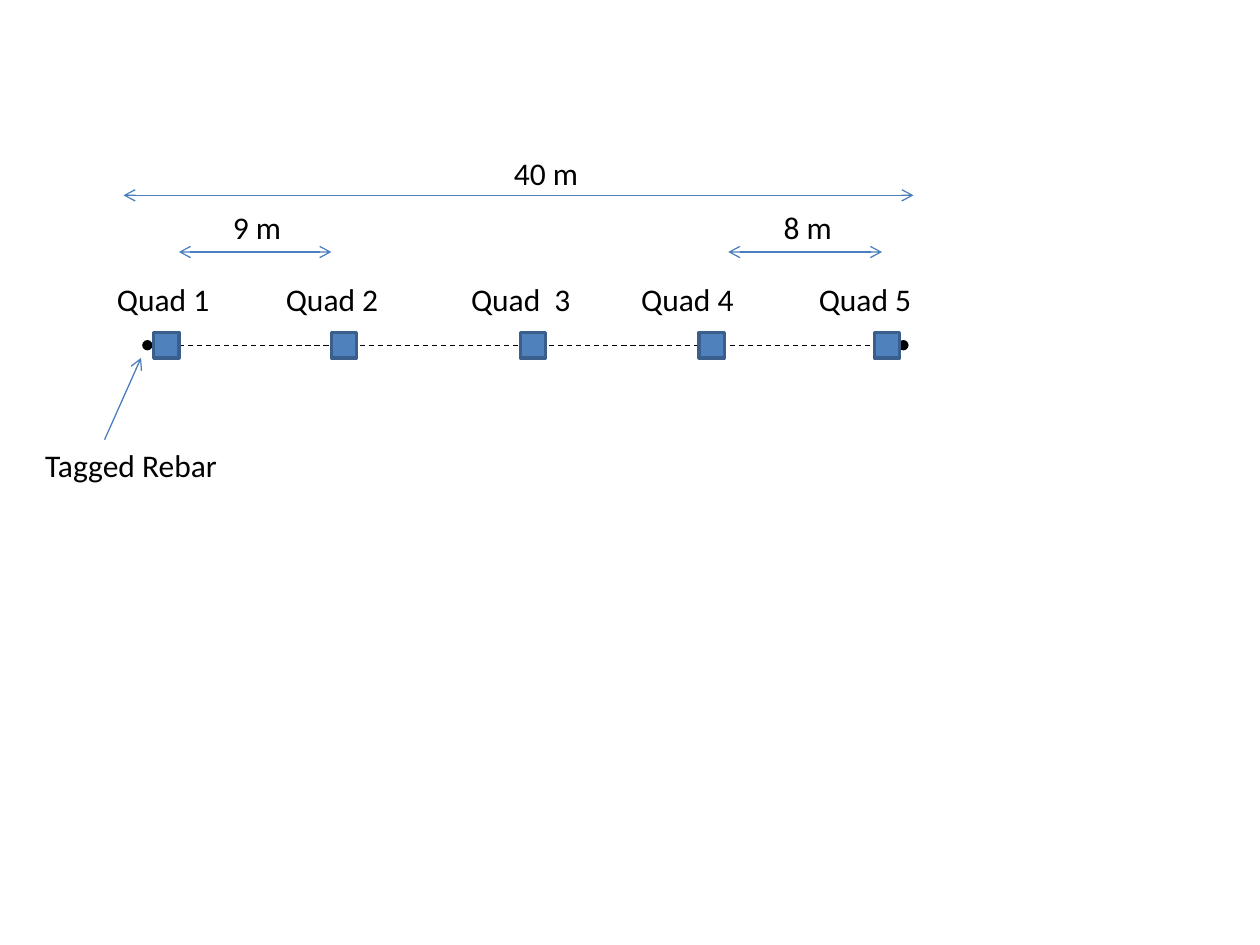
import pptx
import pptx.util
import pptx.dml.color
import pptx.enum.dml
import pptx.enum.shapes
import pptx.oxml.ns
import lxml.etree

Inches = pptx.util.Inches
Pt = pptx.util.Pt
RGBColor = pptx.dml.color.RGBColor
Shape = pptx.enum.shapes.MSO_SHAPE
Connector = pptx.enum.shapes.MSO_CONNECTOR
Dash = pptx.enum.dml.MSO_LINE

BLACK = RGBColor(0x00, 0x00, 0x00)
QUAD_FILL = RGBColor(0x4F, 0x81, 0xBD)
QUAD_EDGE = RGBColor(0x3A, 0x5F, 0x8C)
ARROW_BLUE = RGBColor(0x4B, 0x7E, 0xBC)


def add_element(parent, tag, **values):
    return lxml.etree.SubElement(parent, pptx.oxml.ns.qn(tag), values)


class Diagram:
    font = {"name": "Calibri", "size": Pt(18)}

    def __init__(self, page):
        self.page = page

    def label(self, text, left, top, width, tabs=()):
        box = self.page.shapes.add_textbox(
            Inches(left), Inches(top), Inches(width), Inches(0.4))
        box.text_frame.word_wrap = True
        para = box.text_frame.paragraphs[0]
        span = para.add_run()
        span.text = text
        for name, value in self.font.items():
            setattr(span.font, name, value)
        span.font.color.rgb = BLACK
        if tabs:
            tab_list = add_element(para._p.get_or_add_pPr(), "a:tabLst")
            for stop in tabs:
                add_element(tab_list, "a:tab", pos=str(Inches(stop)), algn="l")

    def line(self, start, end, color=ARROW_BLUE, head=None, tail="arrow", dash=None):
        line = self.page.shapes.add_connector(
            Connector.STRAIGHT, *(Inches(value) for value in start + end))
        line.line.color.rgb = color
        line.line.width = Pt(0.75)
        if dash:
            line.line.dash_style = dash
        outline = line.line._get_or_add_ln()
        for tag, kind in (("a:headEnd", head), ("a:tailEnd", tail)):
            if kind:
                add_element(outline, tag, type=kind)
        add_element(line._element.spPr, "a:effectLst")

    def square(self, left, top, size):
        square = self.page.shapes.add_shape(
            Shape.RECTANGLE, Inches(left), Inches(top), Inches(size), Inches(size))
        square.shadow.inherit = False
        square.fill.solid()
        square.fill.fore_color.rgb = QUAD_FILL
        square.line.color.rgb = QUAD_EDGE
        square.line.width = Pt(2)


deck = pptx.Presentation()
deck.slide_width = Inches(10)
deck.slide_height = Inches(7.5)
diagram = Diagram(deck.slides.add_slide(deck.slide_layouts[6]))

transect_y = 2.74
quad_size = 0.2
diagram.line((1.17, transect_y), (7.17, transect_y), BLACK, "oval", "oval", Dash.DASH)
for quad_left in (1.22, 2.63, 4.13, 5.55, 6.94):
    diagram.square(quad_left, transect_y - quad_size / 2, quad_size)

diagram.label("Quad 1\tQuad 2\tQuad  3\tQuad 4\tQuad 5", 0.83, 2.17, 6.58,
              tabs=(1.34, 2.81, 4.16, 5.57))
diagram.label("Tagged Rebar", 0.26, 3.49, 1.92)
diagram.line((0.83, 3.49), (1.12, 2.84))

for text, start, end, y, text_left, text_top, text_width in (
    ("40 m", 0.98, 7.25, 1.55, 3.98, 1.17, 1),
    ("9 m", 1.42, 2.63, 2, 1.75, 1.6, 0.78),
    ("8 m", 5.78, 7, 2, 6.12, 1.6, 0.78),
):
    diagram.line((start, y), (end, y), head="arrow")
    diagram.label(text, text_left, text_top, text_width)

deck.save("out.pptx")
